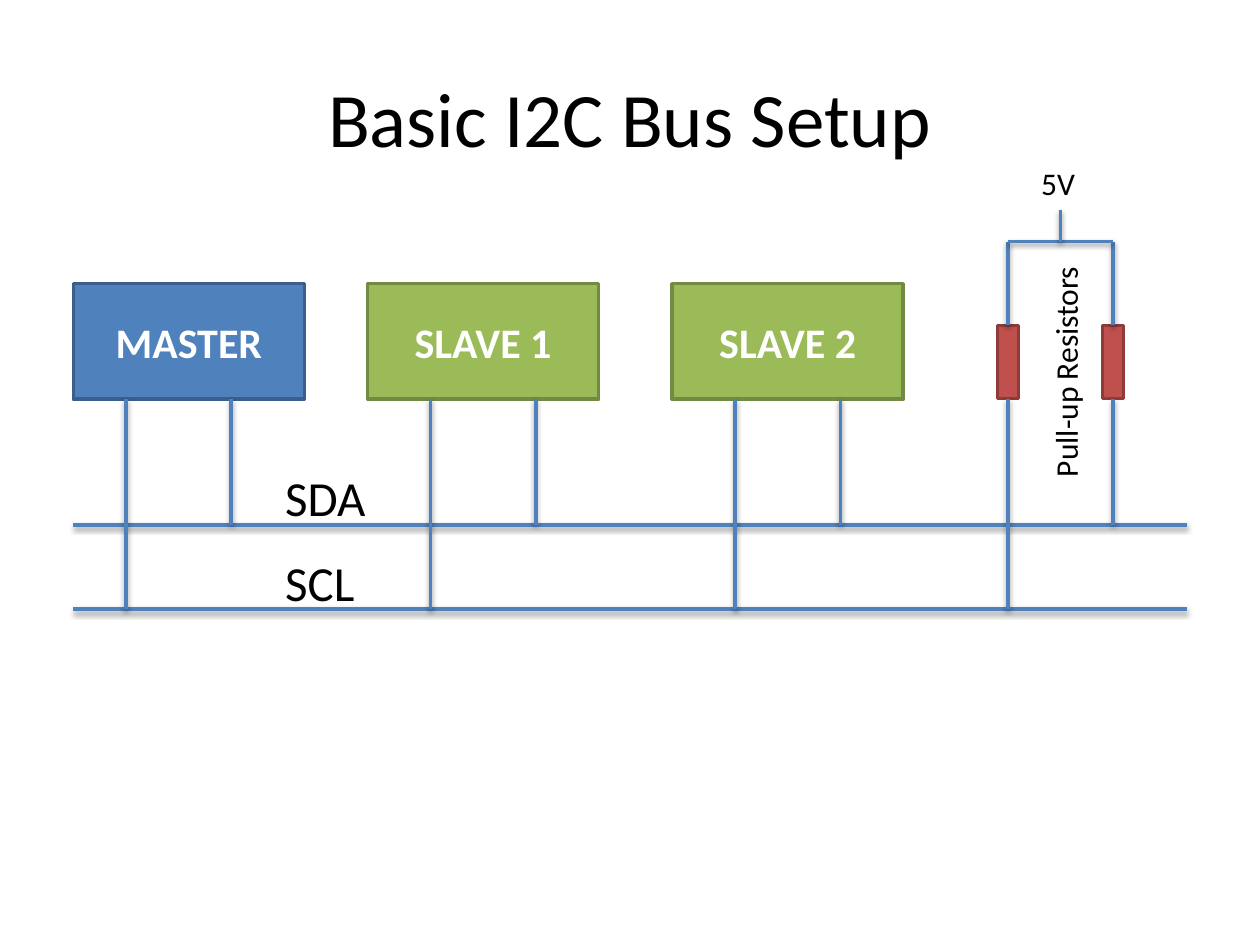
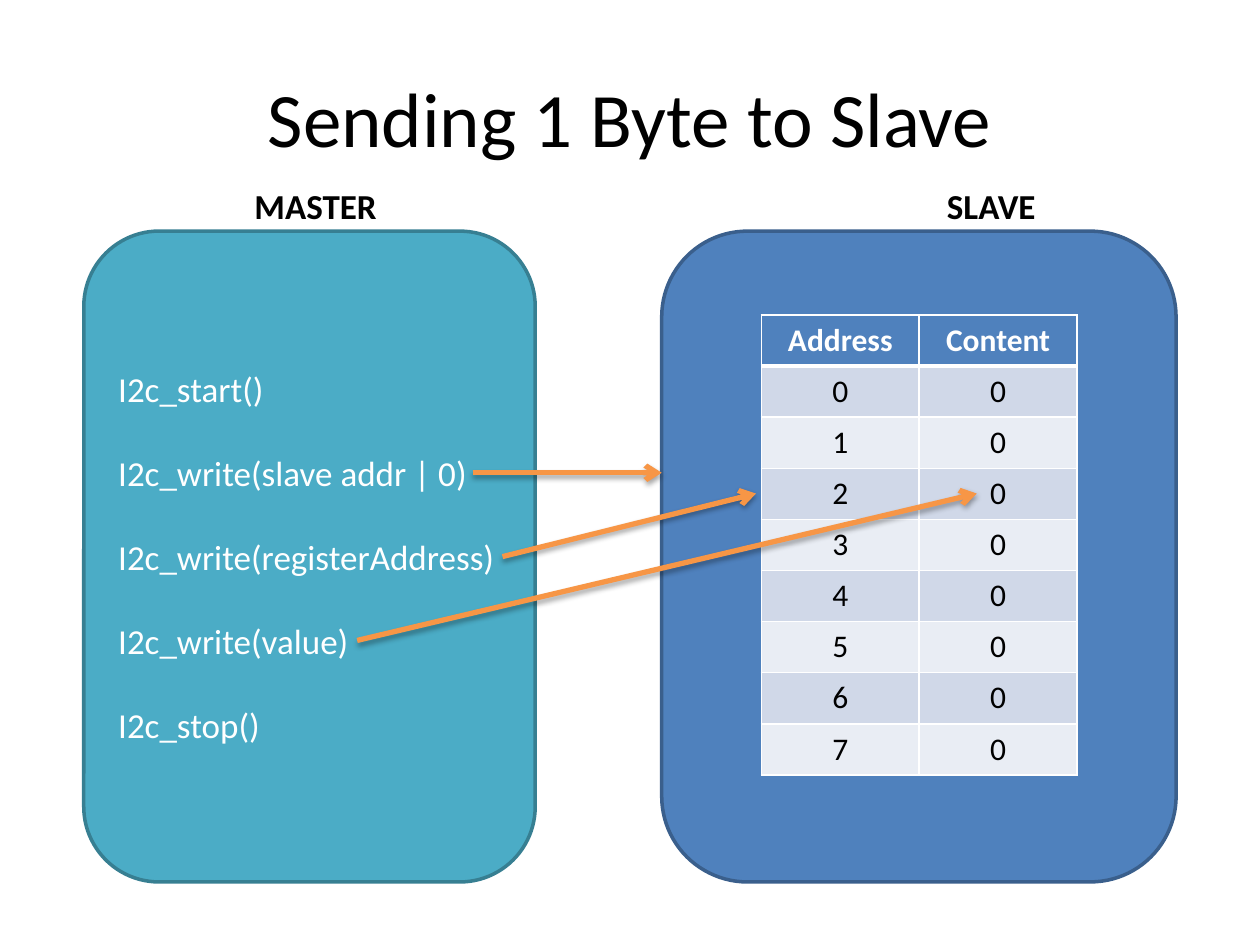
from lxml.etree import SubElement
from pptx import Presentation
from pptx.dml.color import RGBColor
from pptx.enum.shapes import MSO_CONNECTOR, MSO_SHAPE
from pptx.enum.text import MSO_ANCHOR, PP_ALIGN
from pptx.oxml.ns import qn
from pptx.util import Cm, Pt

# Shared look
FONT = "Calibri"
COLORS = {
    "black": "000000", "white": "FFFFFF",
    "blue": "4F81BD", "blue edge": "3A5F8C",
    "green": "9BBB59", "green edge": "738A42",
    "red": "C0504D", "red edge": "8E3B39",
    "teal": "4BACC6", "teal edge": "377F92",
    "orange": "F79646", "dark band": "D0D8E8", "light band": "E9EDF4",
}
BLANK_LAYOUT = 6

# Bus slide content, lengths in centimetres
BUS_TITLE = "Basic I2C Bus Setup"
BUS_SPAN = (1.48, 23.92)
BUS_LINES = {"SDA": 10.58, "SCL": 12.28}
BUS_LABEL_WIDTHS = {"SDA": 2.16, "SCL": 1.93}
BLOCK_TOP, BLOCK_WIDTH, BLOCK_HEIGHT = 5.72, 4.66, 2.33
# name, colour, left edge, distance from left edge to SCL wire
BLOCKS = [
    ("MASTER", "blue", 1.48, 1.06),
    ("SLAVE 1", "green", 7.41, 1.27),
    ("SLAVE 2", "green", 13.55, 1.27),
]
WIRE_GAP = 2.12
RESISTORS = {"SCL": 20.32, "SDA": 22.44}
RESISTOR_TOP, RESISTOR_WIDTH, RESISTOR_HEIGHT = 6.56, 0.42, 1.48
SUPPLY_TOP, SUPPLY_RAIL = 4.23, 4.87

# Byte slide content
BYTE_TITLE = "Sending 1 Byte to Slave"
PANEL_TOP, PANEL_HEIGHT = 4.66, 13.12
# label, colour, panel left, panel width, label left, label width
PANELS = [
    ("MASTER", "teal", 1.69, 9.1, 4.88, 3.0),
    ("SLAVE", "blue", 13.34, 10.37, 18.84, 2.31),
]
CALLS = [
    "I2c_start()",
    "I2c_write(slave addr | 0)",
    "I2c_write(registerAddress)",
    "I2c_write(value)",
    "I2c_stop()",
]
REGISTERS = [("Address", "Content")] + [(str(address), "0") for address in range(8)]
TABLE_LEFT, TABLE_TOP, COLUMN_WIDTH, ROW_HEIGHT = 15.35, 6.35, 3.18, 1.03
ARROWS = [
    ((9.53, 9.53), (13.34, 9.53)),
    ((10.13, 11.22), (15.24, 9.95)),
    ((7.2, 12.91), (19.69, 9.95)),
]


def rgb(name):
    return RGBColor.from_string(COLORS[name])


def write(frame, *lines, size=18, color="black", bold=False,
          align=PP_ALIGN.LEFT, gap=0):
    """Fill a text frame, one paragraph a line, with a gap between them."""
    for index, line in enumerate(lines):
        para = frame.add_paragraph() if index else frame.paragraphs[0]
        para.alignment = align
        if index and gap:
            para.space_before = Pt(gap)
        span = para.add_run()
        span.text = line
        span.font.name = FONT
        span.font.size = Pt(size)
        span.font.bold = bold
        span.font.color.rgb = rgb(color)


def add_label(page, text, left, top, width, height, wrap=False, rotation=0,
              anchor=MSO_ANCHOR.TOP, **text_format):
    box = page.shapes.add_textbox(Cm(left), Cm(top), Cm(width), Cm(height))
    box.rotation = rotation
    box.text_frame.word_wrap = wrap
    box.text_frame.vertical_anchor = anchor
    write(box.text_frame, text, **text_format)


def add_page(deck, title):
    page = deck.slides.add_slide(deck.slide_layouts[BLANK_LAYOUT])
    add_label(page, title, 1.27, 0.76, 22.86, 3.18, wrap=True,
              anchor=MSO_ANCHOR.MIDDLE, size=44, align=PP_ALIGN.CENTER)
    return page


def add_block(page, color, left, top, width, height, kind=MSO_SHAPE.RECTANGLE):
    block = page.shapes.add_shape(kind, Cm(left), Cm(top), Cm(width), Cm(height))
    block.shadow.inherit = False
    block.fill.solid()
    block.fill.fore_color.rgb = rgb(color)
    block.line.color.rgb = rgb(f"{color} edge")
    block.line.width = Pt(2)
    block.text_frame.word_wrap = True
    block.text_frame.vertical_anchor = MSO_ANCHOR.MIDDLE
    return block


def add_line(page, start, end, color="blue", width=2, arrow=False,
             shadow_distance=1.6, shadow_opacity=38):
    """Draw a straight line with a soft shadow below it."""
    line = page.shapes.add_connector(
        MSO_CONNECTOR.STRAIGHT, *(Cm(value) for value in (*start, *end)))
    line.line.color.rgb = rgb(color)
    line.line.width = Pt(width)
    properties = line._element.spPr
    if arrow:
        SubElement(properties.find(qn("a:ln")), qn("a:tailEnd"), type="arrow")
    effects = SubElement(properties, qn("a:effectLst"))
    shadow = SubElement(
        effects, qn("a:outerShdw"), blurRad=str(Pt(3.1)),
        dist=str(Pt(shadow_distance)), dir="5400000", rotWithShape="0")
    shade = SubElement(shadow, qn("a:srgbClr"), val=COLORS["black"])
    SubElement(shade, qn("a:alpha"), val=str(shadow_opacity * 1000))
    return line


def set_borders(cell, **widths):
    """Give a cell white borders; widths are keyed L, R, T, B."""
    properties = cell._tc.get_or_add_tcPr()
    for index, (side, width) in enumerate(widths.items()):
        border = properties.makeelement(qn(f"a:ln{side}"), {"w": str(Pt(width))})
        fill = SubElement(border, qn("a:solidFill"))
        SubElement(fill, qn("a:srgbClr"), val=COLORS["white"])
        properties.insert(index, border)


def add_register_table(page):
    rows, columns = len(REGISTERS), len(REGISTERS[0])
    table = page.shapes.add_table(
        rows, columns, Cm(TABLE_LEFT), Cm(TABLE_TOP),
        Cm(COLUMN_WIDTH * columns), Cm(ROW_HEIGHT * rows)).table
    for column in table.columns:
        column.width = Cm(COLUMN_WIDTH)
    for row_index, values in enumerate(REGISTERS):
        table.rows[row_index].height = Cm(ROW_HEIGHT)
        header = row_index == 0
        band = "dark band" if row_index % 2 else "light band"
        for column_index, value in enumerate(values):
            cell = table.cell(row_index, column_index)
            cell.fill.solid()
            cell.fill.fore_color.rgb = rgb("blue" if header else band)
            write(cell.text_frame, value, bold=header, align=PP_ALIGN.CENTER,
                  color="white" if header else "black")
            set_borders(cell, L=1, R=1, T=3 if row_index == 1 else 1,
                        B=3 if header else 1)


def build_bus_page(deck):
    page = add_page(deck, BUS_TITLE)

    # Bus lines
    for height in BUS_LINES.values():
        add_line(page, (BUS_SPAN[0], height), (BUS_SPAN[1], height))

    # Devices and their wires
    bottom = BLOCK_TOP + BLOCK_HEIGHT
    for name, color, left, offset in BLOCKS:
        block = add_block(page, color, left, BLOCK_TOP, BLOCK_WIDTH, BLOCK_HEIGHT)
        write(block.text_frame, name, size=24, color="white", bold=True,
              align=PP_ALIGN.CENTER)
        for bus, x in (("SCL", left + offset), ("SDA", left + offset + WIRE_GAP)):
            add_line(page, (x, BUS_LINES[bus]), (x, bottom))

    # Pull-up resistors
    for bus, x in RESISTORS.items():
        resistor = add_block(page, "red", x - RESISTOR_WIDTH / 2, RESISTOR_TOP,
                             RESISTOR_WIDTH, RESISTOR_HEIGHT)
        for site, y, far_end in (
                (0, RESISTOR_TOP, SUPPLY_RAIL),
                (2, RESISTOR_TOP + RESISTOR_HEIGHT, BUS_LINES[bus])):
            add_line(page, (x, y), (x, far_end)).begin_connect(resistor, site)

    # Supply
    left, right = RESISTORS.values()
    middle = (left + right) / 2
    add_line(page, (right, SUPPLY_RAIL), (left, SUPPLY_RAIL))
    add_line(page, (middle, SUPPLY_RAIL), (middle, SUPPLY_TOP))

    # Labels
    add_label(page, "5V", 20.74, 3.18, 1.19, 1.02)
    add_label(page, "Pull-up Resistors", 19.08, 6.96, 4.8, 1.02, rotation=270)
    for bus, height in BUS_LINES.items():
        add_label(page, bus, 5.5, height - 1.27, BUS_LABEL_WIDTHS[bus], 1.45, size=28)


def build_byte_page(deck):
    page = add_page(deck, BYTE_TITLE)

    # Panels with headings
    panels = {}
    for name, color, left, width, label_left, label_width in PANELS:
        panels[name] = add_block(page, color, left, PANEL_TOP, width, PANEL_HEIGHT,
                                 kind=MSO_SHAPE.ROUNDED_RECTANGLE)
        add_label(page, name, label_left, 3.6, label_width, 1.12, size=20, bold=True)
    write(panels["MASTER"].text_frame, *CALLS, size=20, color="white", gap=24)

    # Registers and the calls that reach them
    add_register_table(page)
    for start, end in ARROWS:
        add_line(page, start, end, color="orange", width=3, arrow=True,
                 shadow_distance=1.8, shadow_opacity=35)


def main():
    deck = Presentation()
    deck.slide_width, deck.slide_height = Cm(25.4), Cm(19.05)
    build_bus_page(deck)
    build_byte_page(deck)
    deck.save("out.pptx")


if __name__ == "__main__":
    main()
